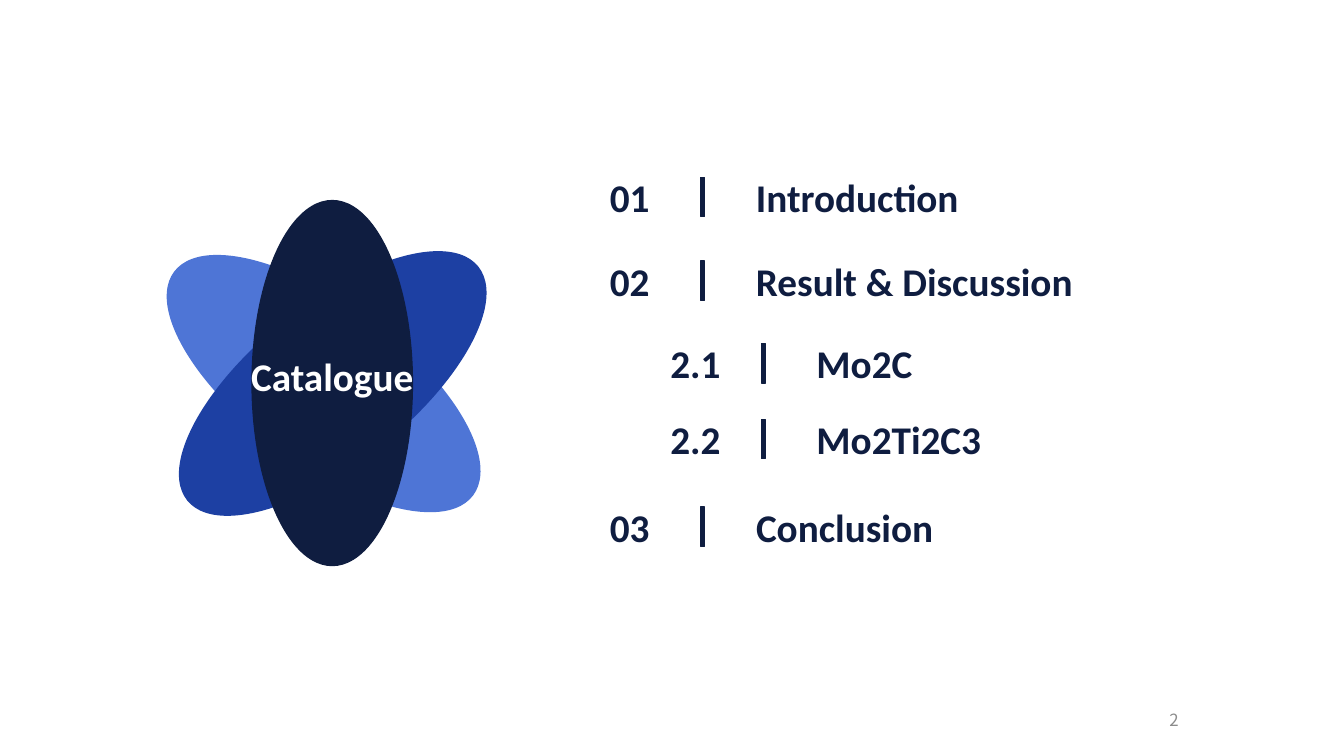
from pptx import Presentation
from pptx.dml.color import RGBColor
from pptx.enum.shapes import MSO_SHAPE
from pptx.enum.text import MSO_ANCHOR, MSO_AUTO_SIZE, PP_ALIGN
from pptx.util import Inches, Pt

OVAL, RECT = MSO_SHAPE.OVAL, MSO_SHAPE.RECTANGLE
LEFT, MID, RIGHT = PP_ALIGN.LEFT, PP_ALIGN.CENTER, PP_ALIGN.RIGHT
TOP, CENTER = MSO_ANCHOR.TOP, MSO_ANCHOR.MIDDLE
FIT, FIXED = MSO_AUTO_SIZE.SHAPE_TO_FIT_TEXT, MSO_AUTO_SIZE.NONE
NAVY, BLUE, LIGHT, WHITE, GRAY = "0F1D40", "1D40A3", "4E75D6", "FFFFFF", "8C8C8C"


def color(code):
    return RGBColor.from_string(code)


class Deck:
    """Hold the style and the current slide, and draw each kind of element."""

    font = "Calibri"
    size = 28

    def __init__(self):
        self.prs = Presentation()
        self.prs.slide_width = Inches(13.33)
        self.prs.slide_height = Inches(7.5)
        self.slide = self.prs.slides.add_slide(self.prs.slide_layouts[6])

    def shape(self, kind, box, fill, turn=0):
        item = self.slide.shapes.add_shape(kind, *map(Inches, box))
        item.rotation = turn
        item.shadow.inherit = False
        item.fill.solid()
        item.fill.fore_color.rgb = color(fill)
        item.line.color.rgb = color(fill)
        item.line.width = Pt(1)

    def text(self, words, box, ink=NAVY, align=LEFT, anchor=TOP,
             wrap=True, bold=True, size=size, font=font, space=1.0):
        item = self.slide.shapes.add_textbox(*map(Inches, box))
        frame = item.text_frame
        frame.word_wrap = wrap
        frame.auto_size = FIXED if wrap else FIT
        frame.vertical_anchor = anchor
        para = frame.paragraphs[0]
        para.text = words
        para.alignment = align
        para.line_spacing = space
        para.font.name = font
        para.font.size = Pt(size)
        para.font.bold = bold
        para.font.color.rgb = color(ink)

    def entry(self, mark, title, left, top, narrow, wide):
        self.text(mark, (left, top, narrow, 0.57), wrap=False)
        self.shape(RECT, (left + 1, top + 0.09, 0.04, 0.39), NAVY)
        self.text(title, (left + 1.45, top, wide, 0.57), wrap=False)


def main():
    deck = Deck()
    deck.shape(OVAL, (2.43, 1.96, 1.56, 3.69), LIGHT, 306.8)
    deck.shape(OVAL, (2.52, 1.96, 1.56, 3.69), BLUE, 51.2)
    deck.shape(OVAL, (2.5, 1.99, 1.59, 3.62), NAVY)
    deck.text("Catalogue", (1.26, 3.5, 4.07, 1.03), WHITE, MID, space=0.9)
    deck.text("2", (8.79, 6.94, 3, 0.4), GRAY, RIGHT, CENTER,
              bold=False, size=12, font="Noto Sans CJK SC")

    main_left, sub_left = 5.95, 6.55
    for row in (
        ("01", "Introduction", main_left, 1.67, 0.6, 2.24),
        ("02", "Result & Discussion", main_left, 2.5, 0.6, 3.37),
        ("2.1", "Mo2C", sub_left, 3.32, 0.71, 1.16),
        ("2.2", "Mo2Ti2C3", sub_left, 4.07, 0.71, 1.86),
        ("03", "Conclusion", main_left, 4.94, 0.6, 1.98),
    ):
        deck.entry(*row)
    deck.prs.save("out.pptx")


if __name__ == "__main__":
    main()
